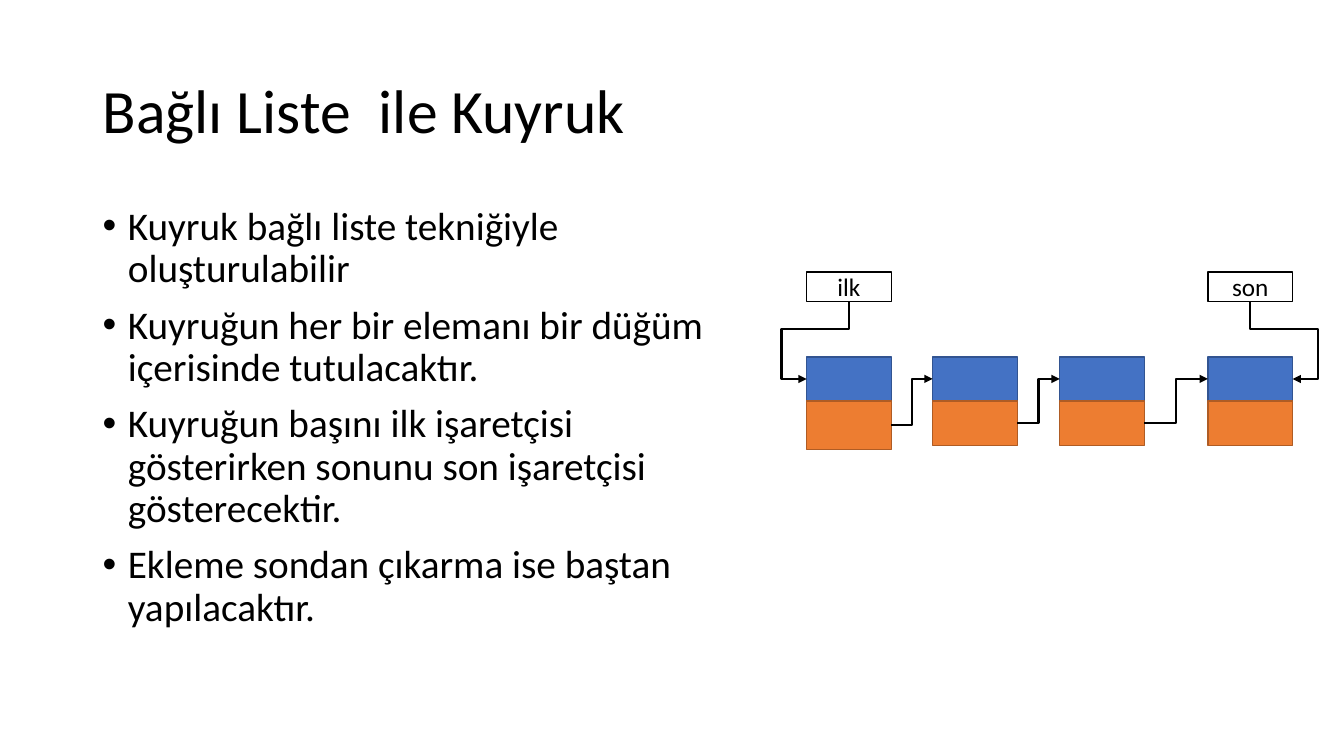
from pptx import Presentation
from pptx.dml.color import RGBColor
from pptx.enum.shapes import MSO_CONNECTOR, MSO_SHAPE
from pptx.enum.text import MSO_ANCHOR, MSO_AUTO_SIZE, PP_ALIGN
from pptx.oxml.ns import qn
from pptx.util import Inches, Pt
from lxml import etree

BLACK = RGBColor(0x00, 0x00, 0x00)
WHITE = RGBColor(0xFF, 0xFF, 0xFF)
BLUE = RGBColor(0x44, 0x72, 0xC4)
NAVY = RGBColor(0x32, 0x54, 0x91)
ORANGE = RGBColor(0xED, 0x7D, 0x31)
RUST = RGBColor(0xAF, 0x5C, 0x24)
RECT = MSO_SHAPE.RECTANGLE
ELBOW = MSO_CONNECTOR.ELBOW
MIDDLE, TOP = MSO_ANCHOR.MIDDLE, MSO_ANCHOR.TOP
LEFT, CENTER = PP_ALIGN.LEFT, PP_ALIGN.CENTER
FIXED = MSO_AUTO_SIZE.NONE
SITE_LEFT, SITE_BOTTOM, SITE_RIGHT = 1, 2, 3
FONT = "Calibri"

TITLE = "Bağlı Liste  ile Kuyruk"
POINTS = [
    "Kuyruk bağlı liste tekniğiyle oluşturulabilir",
    "Kuyruğun her bir elemanı bir düğüm içerisinde tutulacaktır.",
    "Kuyruğun başını ilk işaretçisi gösterirken sonunu son işaretçisi gösterecektir.",
    "Ekleme sondan çıkarma ise baştan yapılacaktır.",
]
NODES = [(0, 0.48), (1.25, 0.44), (2.51, 0.44), (3.98, 0.44)]
WIDTH, HEIGHT = 0.84, 0.44


def style(item, values):
    for name, value in values.items():
        setattr(item, name, value)


def write(para, text, size, **values):
    para.text = text
    style(para, values)
    style(para.runs[0].font, {"name": FONT, "size": Pt(size)})
    para.runs[0].font.color.rgb = BLACK


def place(shape, box):
    names = ("left", "top", "width", "height")
    style(shape, dict(zip(names, map(Inches, box))))


def add_title(slide, box):
    title = slide.shapes.title
    place(title, box)
    style(title.text_frame, {"word_wrap": True, "auto_size": FIXED,
                             "vertical_anchor": MIDDLE})
    write(title.text_frame.paragraphs[0], TITLE, 44,
          alignment=LEFT, line_spacing=0.9)


def add_points(slide, box):
    frame = slide.shapes.add_textbox(*map(Inches, box)).text_frame
    style(frame, {"word_wrap": True, "auto_size": FIXED,
                  "vertical_anchor": TOP})
    for index, text in enumerate(POINTS):
        para = frame.add_paragraph() if index else frame.paragraphs[0]
        write(para, text, 28, line_spacing=0.9, space_before=Pt(10))
        props = para._p.get_or_add_pPr()
        props.set("marL", str(Inches(0.25)))
        props.set("indent", str(-Inches(0.25)))
        etree.SubElement(props, qn("a:buFont")).set("typeface", "Arial")
        etree.SubElement(props, qn("a:buChar")).set("char", "•")


def add_rect(slide, box, fill, line):
    shape = slide.shapes.add_shape(RECT, *map(Inches, box))
    shape.shadow.inherit = False
    shape.fill.solid()
    shape.fill.fore_color.rgb = fill
    shape.line.color.rgb = line
    shape.line.width = Pt(1)
    return shape


def add_label(slide, box, text):
    shape = add_rect(slide, box, WHITE, BLACK)
    shape.text_frame.vertical_anchor = MIDDLE
    write(shape.text_frame.paragraphs[0], text, 18, alignment=CENTER)
    return shape


def add_link(slide, start, site, end, goal):
    link = slide.shapes.add_connector(ELBOW, 0, 0, 0, 0)
    link.begin_connect(start, site)
    link.end_connect(end, goal)
    link.line.color.rgb = BLACK
    link.line.width = Pt(1.5)
    line = link.line._get_or_add_ln()
    etree.SubElement(line, qn("a:tailEnd")).set("type", "triangle")
    etree.SubElement(link._element.spPr, qn("a:effectLst"))
    return link


def add_hook(slide, label, node, goal):
    link = add_link(slide, label, SITE_BOTTOM, node, goal)
    wide, high = link.width, link.height
    shift = (high - wide) // 2
    style(link, {"left": link.left - shift, "top": link.top + shift,
                 "width": high, "height": wide})
    props = link._element.spPr
    frame = props.find(qn("a:xfrm"))
    frame.attrib.clear()
    if goal == SITE_LEFT:
        frame.set("rot", "5400000")
    else:
        frame.set("rot", "16200000")
        frame.set("flipH", "1")
    shape = props.find(qn("a:prstGeom"))
    shape.set("prst", "bentConnector4")
    guides = shape.find(qn("a:avLst"))
    for name, value in (("adj1", 35700), ("adj2", 159300)):
        guide = etree.SubElement(guides, qn("a:gd"))
        guide.set("name", name)
        guide.set("fmla", f"val {value}")


def add_queue(slide, box):
    left, top = box[:2]
    row = top + 0.84
    heads, tails = [], []
    for step, depth in NODES:
        x = left + step
        heads.append(add_rect(slide, (x, row, WIDTH, HEIGHT), BLUE, NAVY))
        tails.append(add_rect(slide, (x, row + HEIGHT, WIDTH, depth),
                              ORANGE, RUST))
    for tail, head in zip(tails, heads[1:]):
        add_link(slide, tail, SITE_RIGHT, head, SITE_LEFT)
    for text, index, goal in (("ilk", 0, SITE_LEFT), ("son", -1, SITE_RIGHT)):
        x = left + NODES[index][0]
        label = add_label(slide, (x, top, WIDTH, 0.29), text)
        add_hook(slide, label, heads[index], goal)


def main():
    deck = Presentation()
    style(deck, {"slide_width": Inches(13.33), "slide_height": Inches(7.5)})
    slide = deck.slides.add_slide(deck.slide_layouts[5])
    add_title(slide, (0.92, 0.4, 11.5, 1.45))
    add_points(slide, (0.92, 2, 6.45, 4.76))
    add_queue(slide, (8, 2.7, 4.83, 1.76))
    deck.save("out.pptx")


if __name__ == "__main__":
    main()
